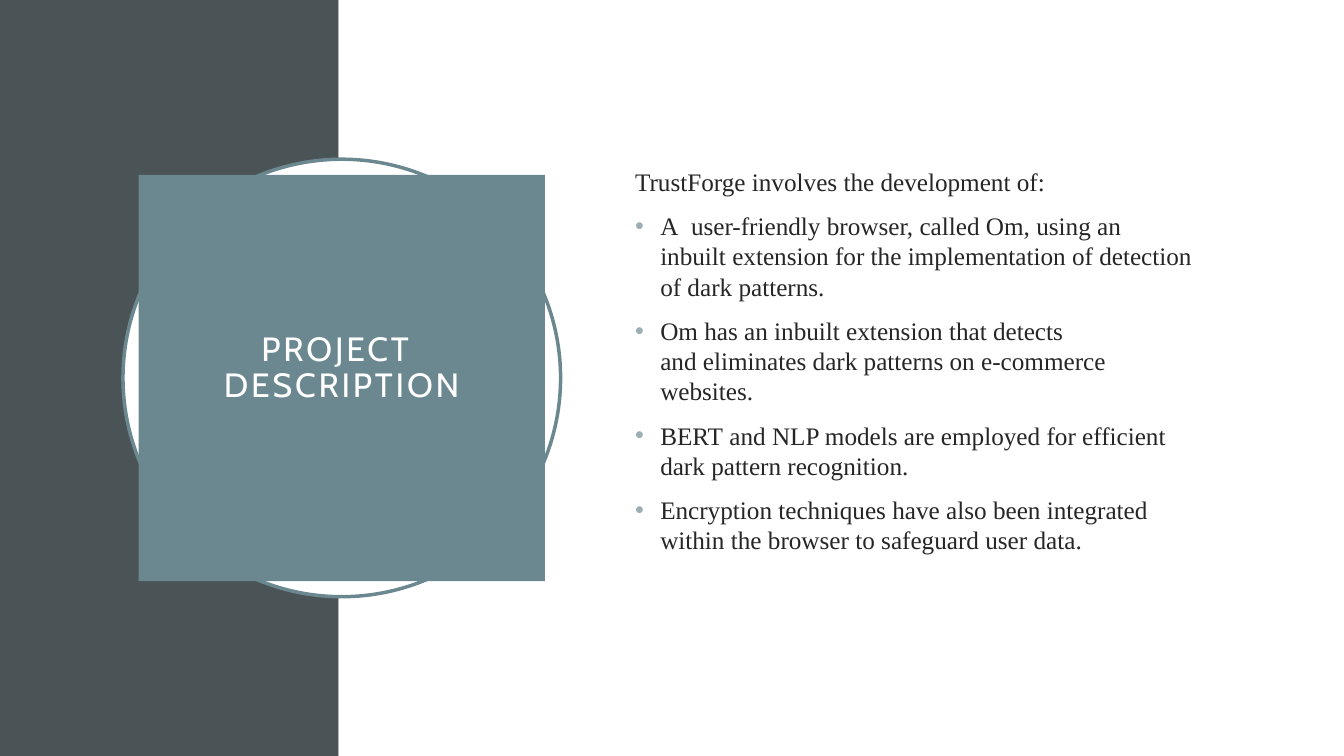
from pptx import Presentation
from pptx.dml.color import RGBColor
from pptx.enum.shapes import MSO_SHAPE
from pptx.enum.text import MSO_ANCHOR, PP_ALIGN
from pptx.util import Inches, Pt
from lxml import etree

# A tilde joins words that stay on one line.
TITLE_LINES = ["PROJECT~", "DESCRIPTION"]
INTRO = "TrustForge~involves the development of:"
BULLETS = [
    "A~ user-friendly browser, called Om, using an inbuilt~extension for~the "
    "implementation of detection of dark~patterns.~",
    "Om has an inbuilt extension that detects and~eliminates dark~patterns "
    "on e-commerce websites.~",
    "BERT~and NLP models are~employed for efficient dark~pattern~recognition.",
    "Encryption~techniques have also been integrated within the browser "
    "to safeguard user data.",
]
HARD_SPACE = chr(160)

SLATE = RGBColor(0x4A, 0x53, 0x56)
TEAL = RGBColor(0x6B, 0x88, 0x91)
WHITE = RGBColor(0xFF, 0xFF, 0xFF)
INK = RGBColor(0x26, 0x26, 0x26)
BULLET_COLOR = RGBColor(0x9B, 0xAF, 0xB5)
TITLE_FONT, BODY_FONT = "Cabin", "Times New Roman"
RECTANGLE, OVAL = MSO_SHAPE.RECTANGLE, MSO_SHAPE.OVAL
NS = "http://schemas.openxmlformats.org/drawingml/2006/main"

WIDTH, HEIGHT = 13.33, 7.5
BAND_WIDTH = 3.36
CENTER_X, CENTER_Y = 3.39, HEIGHT / 2
RING_SIZE, PANEL_SIZE = 4.34, 4.03
BODY_BOX = (6.2, 1.6, 5.82, 4.43)


def add_filled(page, kind, left, top, width, height, color):
    shape = page.shapes.add_shape(
        kind, Inches(left), Inches(top), Inches(width), Inches(height))
    shape.shadow.inherit = False
    shape.fill.solid()
    shape.fill.fore_color.rgb = color
    shape.line.fill.background()
    return shape


def add_centered(page, kind, size, color):
    """Add a shape of equal sides around the centre of the title motif."""
    return add_filled(page, kind, CENTER_X - size / 2, CENTER_Y - size / 2,
                      size, size, color)


def add_span(para, text, font, size, color):
    span = para.add_run()
    span.text = text.replace("~", HARD_SPACE)
    span.font.name = font
    span.font.size = Pt(size)
    span.font.color.rgb = color
    return span


def add_bullet(para):
    props = para._p.get_or_add_pPr()
    props.set("marL", str(Inches(0.25)))
    props.set("indent", str(-Inches(0.25)))
    color = etree.SubElement(props, f"{{{NS}}}buClr")
    etree.SubElement(color, f"{{{NS}}}srgbClr", val=str(BULLET_COLOR))
    etree.SubElement(props, f"{{{NS}}}buFont", typeface="Arial")
    etree.SubElement(props, f"{{{NS}}}buChar", char="•")


def add_title(page):
    panel = add_centered(page, RECTANGLE, PANEL_SIZE, TEAL)
    frame = panel.text_frame
    frame.word_wrap = True
    frame.vertical_anchor = MSO_ANCHOR.MIDDLE
    frame.margin_left = frame.margin_right = frame.margin_top = Inches(0.2)
    frame.margin_bottom = Inches(0.38)
    para = frame.paragraphs[0]
    para.alignment = PP_ALIGN.CENTER
    para.line_spacing = 0.9
    for number, line in enumerate(TITLE_LINES):
        if number:
            para.add_line_break()
        span = add_span(para, line, TITLE_FONT, 24, WHITE)
        span.font._element.set("spc", "200")


def add_body(page):
    box = page.shapes.add_textbox(*(Inches(side) for side in BODY_BOX))
    frame = box.text_frame
    frame.word_wrap = True
    frame.vertical_anchor = MSO_ANCHOR.TOP
    add_span(frame.paragraphs[0], INTRO, BODY_FONT, 18, INK)
    for text in BULLETS:
        para = frame.add_paragraph()
        para.space_before = Pt(10)
        add_bullet(para)
        add_span(para, text, BODY_FONT, 18, INK)


def main():
    deck = Presentation()
    deck.slide_width, deck.slide_height = Inches(WIDTH), Inches(HEIGHT)
    page = deck.slides.add_slide(deck.slide_layouts[6])
    add_filled(page, RECTANGLE, 0, 0, BAND_WIDTH, HEIGHT, SLATE)
    add_filled(page, RECTANGLE, BAND_WIDTH, 0, WIDTH - BAND_WIDTH, HEIGHT, WHITE)
    ring = add_centered(page, OVAL, RING_SIZE, WHITE)
    ring.line.color.rgb = TEAL
    ring.line.width = Pt(2.5)
    add_title(page)
    add_body(page)
    deck.save("out.pptx")


if __name__ == "__main__":
    main()
